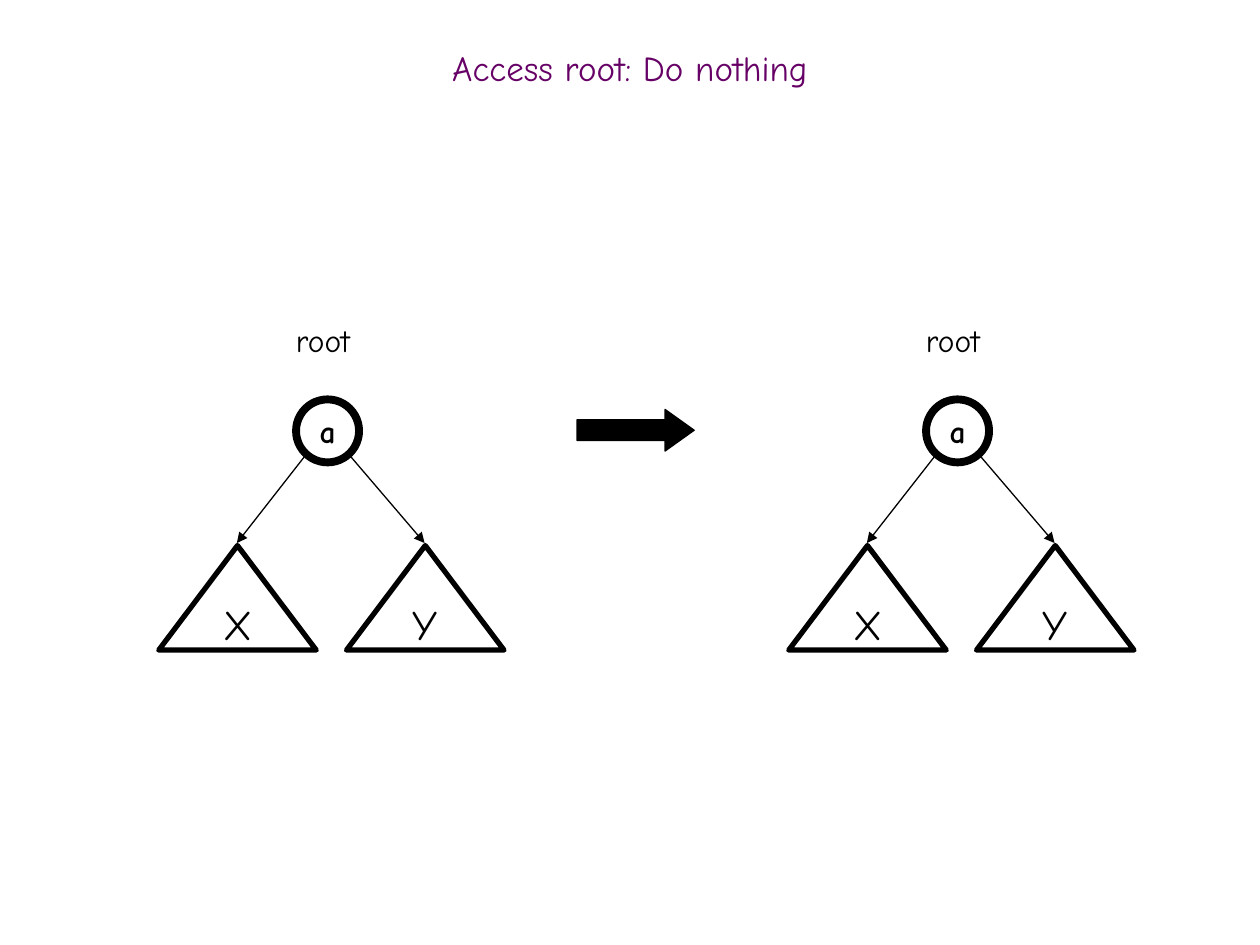
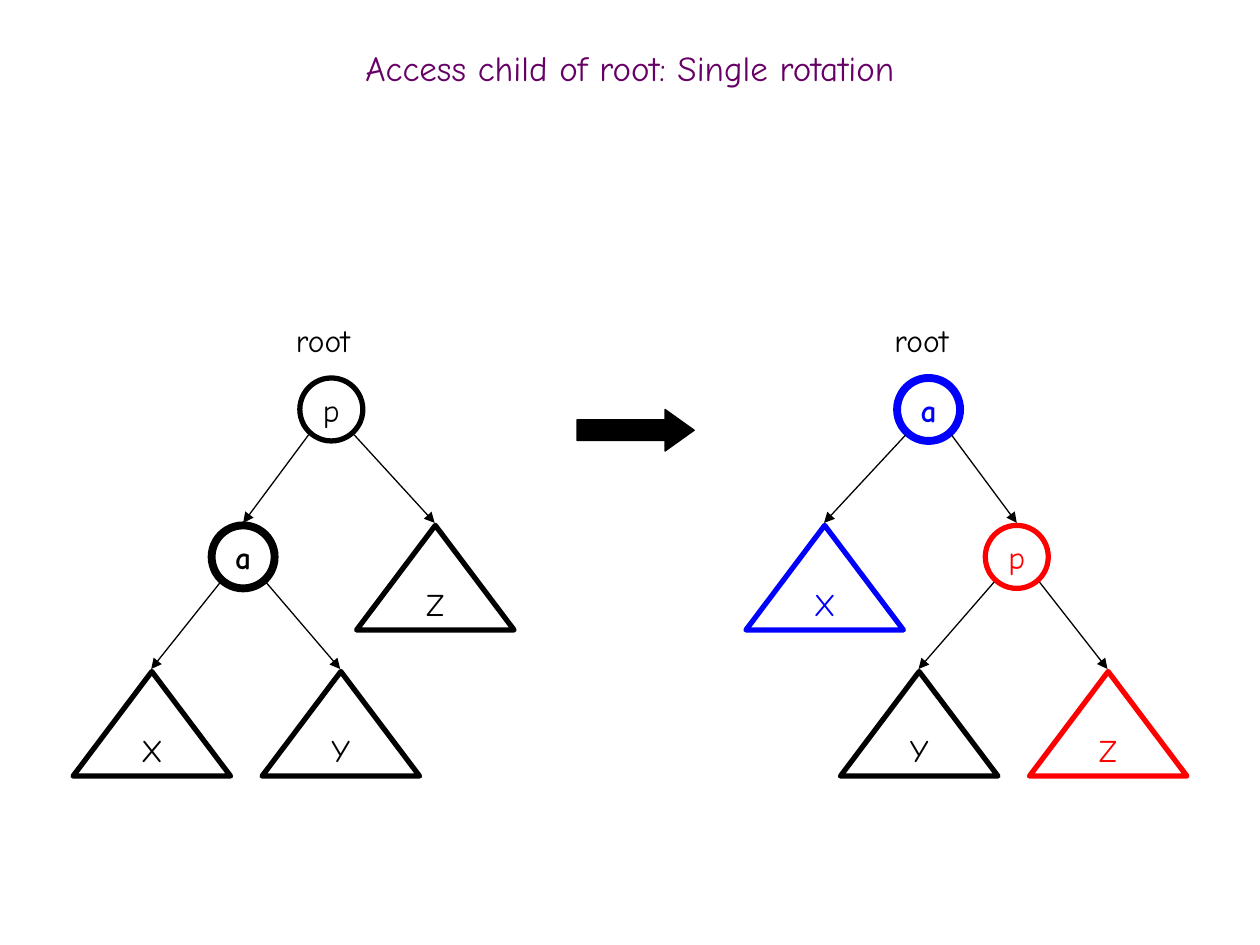
import pptx
import pptx.util
import pptx.dml.color
import pptx.enum.shapes
import pptx.enum.text
import pptx.oxml.ns
import lxml.etree

PX = 9144
FONT = "Comic Neue"
BLACK = pptx.dml.color.RGBColor(0x00, 0x00, 0x00)
BLUE = pptx.dml.color.RGBColor(0x00, 0x00, 0xFF)
RED = pptx.dml.color.RGBColor(0xFF, 0x00, 0x00)
PURPLE = pptx.dml.color.RGBColor(0x66, 0x00, 0x66)
SHAPES = pptx.enum.shapes.MSO_SHAPE
CENTER = pptx.enum.text.PP_ALIGN.CENTER
MIDDLE = pptx.enum.text.MSO_ANCHOR.MIDDLE
NODE_SIZE = 50
SUBTREE_WIDTH, SUBTREE_HEIGHT = 125, 83
ACCESSED = "a"


def write(shape, text, size, color, bold=False, align=None):
    para = shape.text_frame.paragraphs[0]
    para.text = text
    para.alignment = align
    font = para.runs[0].font
    font.name, font.size, font.bold = FONT, pptx.util.Pt(size), bold
    font.color.rgb = color


def add_link(page, x1, y1, x2, y2):
    link = page.shapes.add_connector(
        pptx.enum.shapes.MSO_CONNECTOR.STRAIGHT, x1 * PX, y1 * PX, x2 * PX, y2 * PX)
    link.line.color.rgb = BLACK
    link.line.width = pptx.util.Pt(0.75)
    line = link.line._get_or_add_ln()
    lxml.etree.SubElement(line, pptx.oxml.ns.qn("a:tailEnd"), type="triangle")
    lxml.etree.SubElement(link._element.spPr, pptx.oxml.ns.qn("a:effectLst"))


# Each tree: root caption left, nodes, subtrees, links
ROOT_ONLY = [
    (left + 225, {"a": (left + 235, 317, BLACK)},
     {"X": (left + 126, 433, BLACK), "Y": (left + 275, 433, BLACK)},
     ["aX", "aY"])
    for left in (0, 500)
]
ROTATION = [
    (225, {"p": (238, 300, BLACK), "a": (168, 417, BLACK)},
     {"X": (58, 533, BLACK), "Y": (208, 533, BLACK), "Z": (283, 417, BLACK)},
     ["pa", "pZ", "aX", "aY"]),
    (700, {"a": (712, 300, BLUE), "p": (782, 417, RED)},
     {"X": (592, 417, BLUE), "Y": (667, 533, BLACK), "Z": (817, 533, RED)},
     ["aX", "ap", "pY", "pZ"]),
]
PAGES = [
    ("Access root: Do nothing", ROOT_ONLY, 24),
    ("Access child of root: Single rotation", ROTATION, 18),
]

deck = pptx.Presentation()
deck.slide_width, deck.slide_height = 1000 * PX, 750 * PX

for heading, trees, subtree_size in PAGES:
    page = deck.slides.add_slide(deck.slide_layouts[5])
    title = page.shapes.title
    title.left, title.top, title.width, title.height = 0, 33 * PX, 1000 * PX, 50 * PX
    title.text_frame.auto_size = pptx.enum.text.MSO_AUTO_SIZE.NONE
    title.text_frame.vertical_anchor = MIDDLE
    write(title, heading, 20, PURPLE, align=CENTER)
    title.text_frame.paragraphs[0].line_spacing = 0.7

    arrow = page.shapes.add_shape(SHAPES.RIGHT_ARROW, 458 * PX, 325 * PX, 93 * PX, 33 * PX)
    arrow.adjustments[1] = 0.7
    arrow.shadow.inherit = False
    arrow.fill.solid()
    arrow.fill.fore_color.rgb = BLACK
    arrow.line.color.rgb = BLACK
    arrow.line.width = pptx.util.Pt(0.75)

    for caption_left, nodes, subtrees, links in trees:
        caption = page.shapes.add_textbox(caption_left * PX, 250 * PX, 71 * PX, 40 * PX)
        caption.text_frame.word_wrap = False
        caption.text_frame.auto_size = pptx.enum.text.MSO_AUTO_SIZE.SHAPE_TO_FIT_TEXT
        write(caption, "root", 18, BLACK)

        tops = {}
        for name, (left, top, color) in (nodes | subtrees).items():
            if name in nodes:
                kind, width, height, size = SHAPES.OVAL, NODE_SIZE, NODE_SIZE, 18
            else:
                kind, width, height = SHAPES.ISOSCELES_TRIANGLE, SUBTREE_WIDTH, SUBTREE_HEIGHT
                size = subtree_size
            tops[name] = (left + width // 2, top)
            shape = page.shapes.add_shape(kind, left * PX, top * PX, width * PX, height * PX)
            shape.shadow.inherit = False
            shape.fill.background()
            shape.line.color.rgb = color
            shape.line.width = pptx.util.Pt(4.5 if name == ACCESSED else 3)
            shape.text_frame.word_wrap = False
            shape.text_frame.vertical_anchor = MIDDLE
            write(shape, name, size, color, name == ACCESSED, CENTER)

        for parent, child in links:
            parent_x, parent_top = tops[parent]
            child_x, child_top = tops[child]
            side = 18 if child_x > parent_x else -18
            add_link(page, parent_x + side, parent_top + 45, child_x, child_top - 2)

deck.save("out.pptx")
